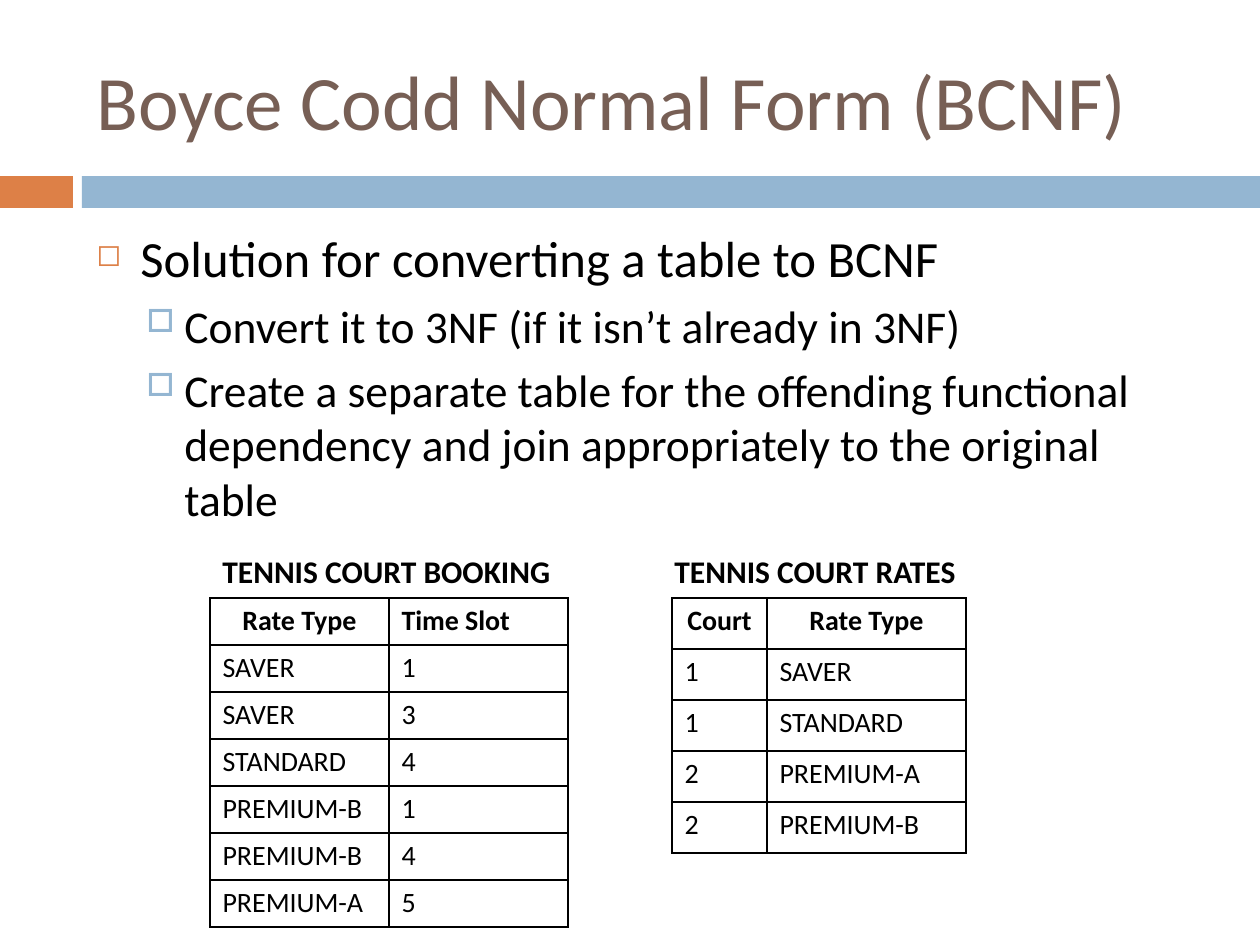
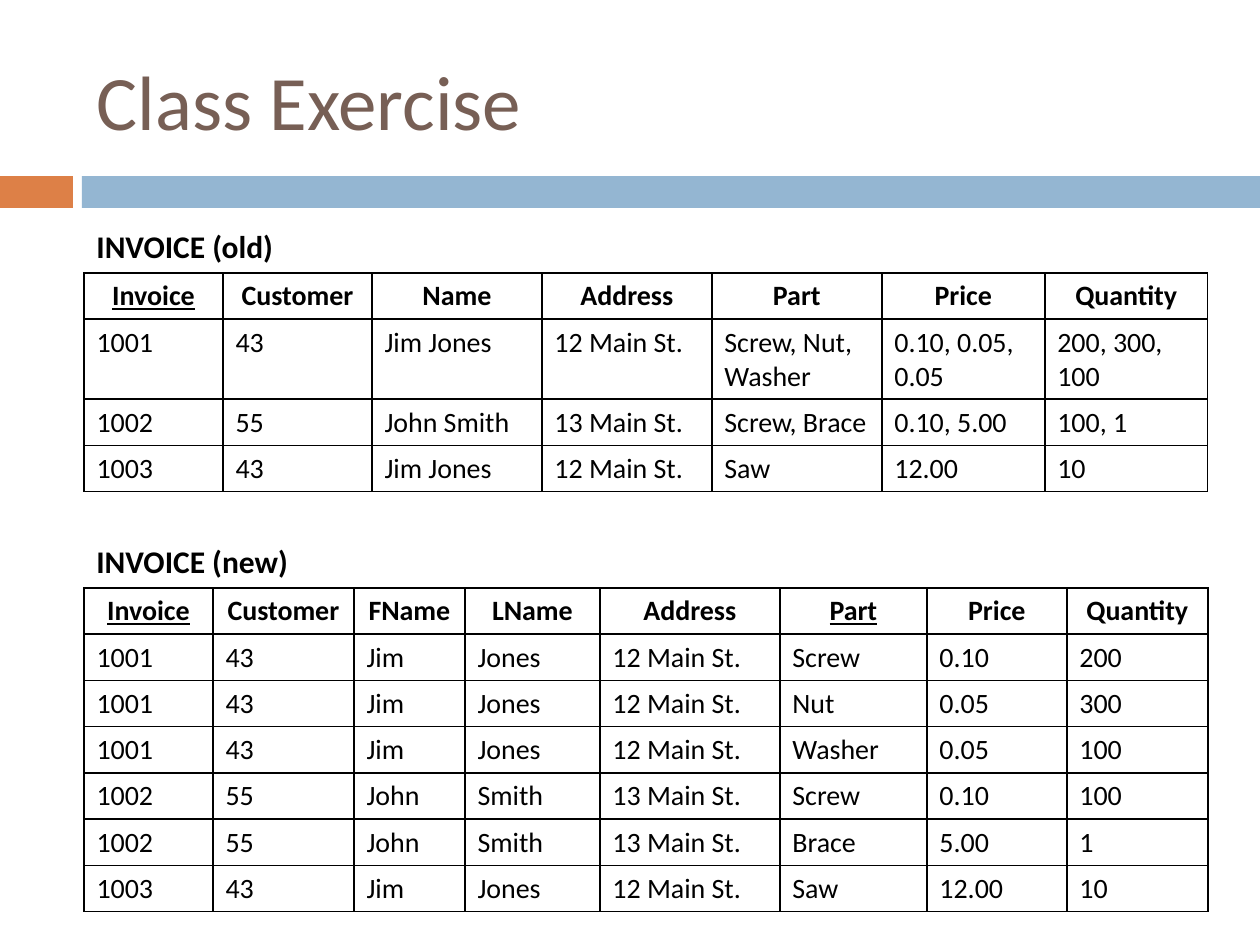
from lxml.etree import SubElement
from pptx import Presentation
from pptx.dml.color import RGBColor
from pptx.enum.shapes import MSO_SHAPE
from pptx.enum.text import MSO_ANCHOR, MSO_AUTO_SIZE, PP_ALIGN
from pptx.oxml.ns import qn
from pptx.util import Pt

PX = 914400 / 126
FONT = "Calibri"
BLACK, BROWN, ORANGE, BLUE = "000000", "775F55", "DD8047", "94B6D2"
rgb = RGBColor.from_string


def px(*lengths):
    return [round(length * PX) for length in lengths]


def write(paragraph, text, size=16, color=BLACK, bold=False, underline=False,
          align=PP_ALIGN.LEFT):
    paragraph.alignment = align
    run = paragraph.add_run()
    run.text = text
    run.font.name = FONT
    run.font.size = Pt(size)
    run.font.bold = bold
    run.font.underline = underline
    run.font.color.rgb = rgb(color)


# Shared bands: left, width, colour
BANDS = [(0, 73, ORANGE), (82, 1178, BLUE)]

# Bullet levels: text size, space before, left margin, hang, symbol, colour, symbol size %
LEVELS = [
    (29, 7, 44, 44, "◻", ORANGE, 60),
    (26, 5.5, 88, 38, "□", BLUE, 70),
]

# Tables: each has a label box, a place, column widths, row heights and cells
booking = {
    "label": "TENNIS COURT BOOKING", "label_box": (210, 546, 372, 50),
    "place": (210, 598), "columns": [179, 179], "rows": [47] * 7,
    "left_headers": ["Time Slot"], "keys": [],
    "cells": [
        ("Rate Type", "Time Slot"),
        ("SAVER", "1"),
        ("SAVER", "3"),
        ("STANDARD", "4"),
        ("PREMIUM-B", "1"),
        ("PREMIUM-B", "4"),
        ("PREMIUM-A", "5"),
    ],
}
rates = {
    "label": "TENNIS COURT RATES", "label_box": (662, 546, 320, 50),
    "place": (672, 598), "columns": [95, 199], "rows": [51] * 5,
    "left_headers": [], "keys": [],
    "cells": [
        ("Court", "Rate Type"),
        ("1", "SAVER"),
        ("1", "STANDARD"),
        ("2", "PREMIUM-A"),
        ("2", "PREMIUM-B"),
    ],
}
old_invoice = {
    "label": "INVOICE (old)", "label_box": (84, 221, 210, 50),
    "place": (84, 273), "columns": [139, 149, 170, 170, 170, 163, 163],
    "rows": [46, 80, 46, 46], "left_headers": [], "keys": ["Invoice"],
    "cells": [
        ("Invoice", "Customer", "Name", "Address", "Part", "Price", "Quantity"),
        ("1001", "43", "Jim Jones", "12 Main St.", "Screw, Nut, Washer",
         "0.10, 0.05, 0.05", "200, 300, 100"),
        ("1002", "55", "John Smith", "13 Main St.", "Screw, Brace", "0.10, 5.00", "100, 1"),
        ("1003", "43", "Jim Jones", "12 Main St.", "Saw", "12.00", "10"),
    ],
}
new_invoice = {
    "label": "INVOICE (new)", "label_box": (84, 536, 226, 50),
    "place": (84, 588), "columns": [129, 141, 111, 135, 180, 147, 140, 141],
    "rows": [46] * 7, "left_headers": [], "keys": ["Invoice", "Part"],
    "cells": [
        ("Invoice", "Customer", "FName", "LName", "Address", "Part", "Price", "Quantity"),
        ("1001", "43", "Jim", "Jones", "12 Main St.", "Screw", "0.10", "200"),
        ("1001", "43", "Jim", "Jones", "12 Main St.", "Nut", "0.05", "300"),
        ("1001", "43", "Jim", "Jones", "12 Main St.", "Washer", "0.05", "100"),
        ("1002", "55", "John", "Smith", "13 Main St.", "Screw", "0.10", "100"),
        ("1002", "55", "John", "Smith", "13 Main St.", "Brace", "5.00", "1"),
        ("1003", "43", "Jim", "Jones", "12 Main St.", "Saw", "12.00", "10"),
    ],
}

# Slides: title, bullets with their level, tables
SLIDES = [
    ("Boyce Codd Normal Form (BCNF)", [
        (0, "Solution for converting a table to BCNF"),
        (1, "Convert it to 3NF (if it isn’t already in 3NF)"),
        (1, "Create a separate table for the offending functional dependency "
            "and join appropriately to the original table"),
    ], [booking, rates]),
    ("Class Exercise", [], [old_invoice, new_invoice]),
]

presentation = Presentation()
presentation.slide_width, presentation.slide_height = px(1260, 945)

for title_text, bullets, tables in SLIDES:
    slide = presentation.slides.add_slide(presentation.slide_layouts[5])

    # Title
    title = slide.shapes.title
    title.left, title.top, title.width, title.height = px(84, 32, 1124, 136)
    title.text_frame.vertical_anchor = MSO_ANCHOR.MIDDLE
    title.text_frame.auto_size = MSO_AUTO_SIZE.NONE
    write(title.text_frame.paragraphs[0], title_text, size=44, color=BROWN)

    # Bands under the title
    for left, width, color in BANDS:
        band = slide.shapes.add_shape(MSO_SHAPE.RECTANGLE, *px(left, 176, width, 32))
        band.shadow.inherit = False
        band.fill.solid()
        band.fill.fore_color.rgb = rgb(color)
        band.line.fill.background()

    # Bulleted text
    if bullets:
        body = slide.shapes.add_textbox(*px(84, 221, 1124, 620)).text_frame
        body.word_wrap = True
    for index, (level, text) in enumerate(bullets):
        size, space, margin, hang, symbol, color, percent = LEVELS[level]
        paragraph = body.add_paragraph() if index else body.paragraphs[0]
        write(paragraph, text, size=size)
        paragraph.level = level
        paragraph.space_before = Pt(space)
        properties = paragraph._p.get_or_add_pPr()
        for name, length in zip(("marL", "indent"), px(margin, -hang)):
            properties.set(name, str(length))
        bullet_color = SubElement(properties, qn("a:buClr"))
        SubElement(bullet_color, qn("a:srgbClr"), val=color)
        SubElement(properties, qn("a:buSzPct"), val=str(percent * 1000))
        SubElement(properties, qn("a:buChar"), char=symbol)

    for data in tables:
        # Table label
        label = slide.shapes.add_textbox(*px(*data["label_box"])).text_frame
        label.word_wrap = False
        label.auto_size = MSO_AUTO_SIZE.SHAPE_TO_FIT_TEXT
        write(label.paragraphs[0], data["label"], size=18, bold=True)

        # Table grid
        columns, rows = data["columns"], data["rows"]
        table = slide.shapes.add_table(
            len(rows), len(columns), *px(*data["place"], sum(columns), sum(rows))).table
        table.first_row = table.horz_banding = False
        for column, width in zip(table.columns, px(*columns)):
            column.width = width
        for row, height in zip(table.rows, px(*rows)):
            row.height = height

        # Cells with black borders
        for row_index, values in enumerate(data["cells"]):
            header = row_index == 0
            for column_index, value in enumerate(values):
                cell = table.cell(row_index, column_index)
                centered = header and value not in data["left_headers"]
                write(cell.text_frame.paragraphs[0], value, bold=header,
                      underline=header and value in data["keys"],
                      align=PP_ALIGN.CENTER if centered else PP_ALIGN.LEFT)
                cell_properties = cell._tc.get_or_add_tcPr()
                for side in ("lnL", "lnR", "lnT", "lnB"):
                    border = SubElement(cell_properties, qn(f"a:{side}"), w=str(Pt(1)))
                    border_fill = SubElement(border, qn("a:solidFill"))
                    SubElement(border_fill, qn("a:srgbClr"), val=BLACK)
                cell.fill.background()

presentation.save("out.pptx")
